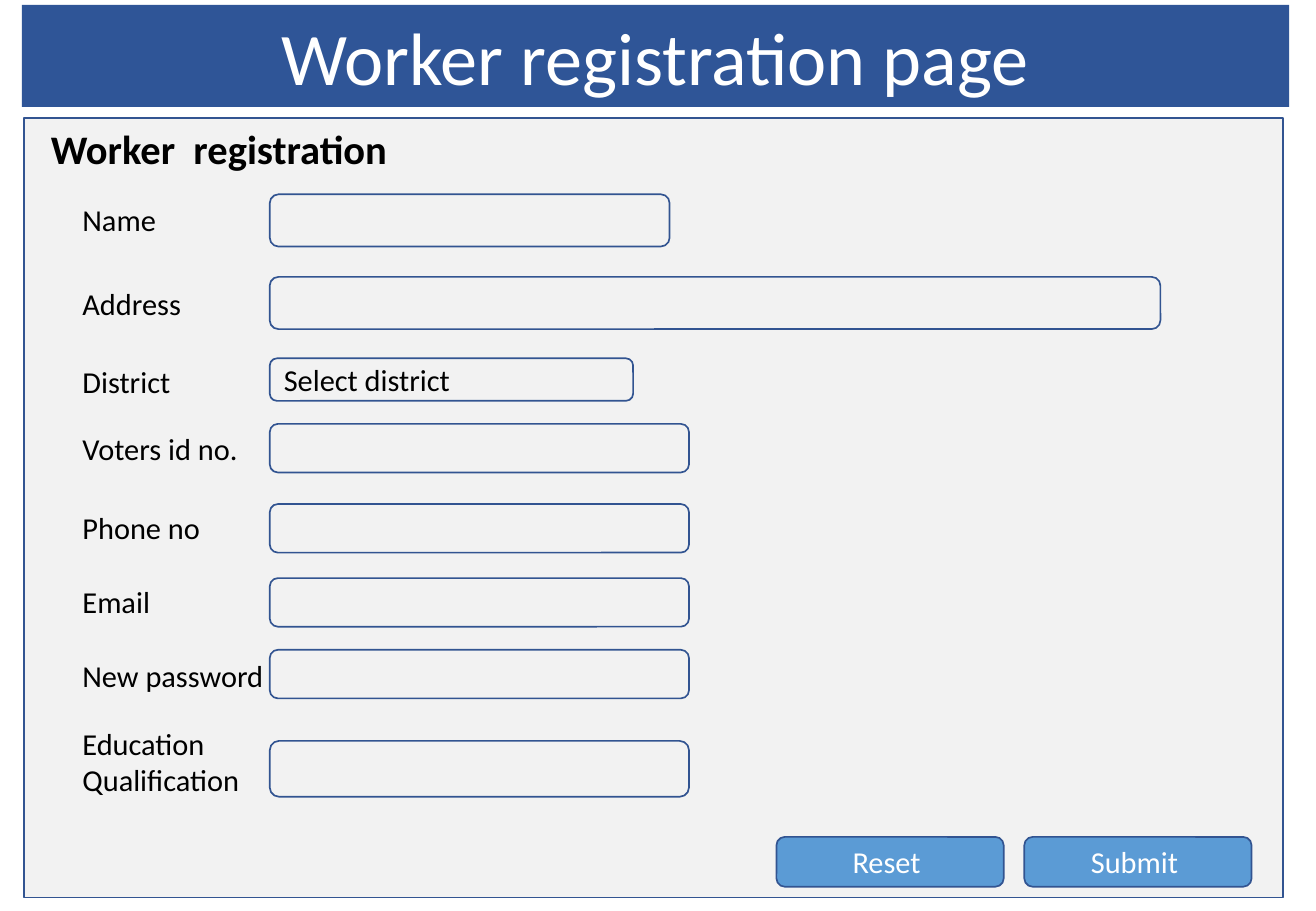
from pptx import Presentation
from pptx.dml.color import RGBColor
from pptx.enum.shapes import MSO_SHAPE as Shape
from pptx.enum.text import MSO_ANCHOR as Anchor, MSO_AUTO_SIZE as Fit, PP_ALIGN as Align
from pptx.util import Inches, Pt

NAVY, EDGE, BLUE = "2F5597", "325491", "5B9BD5"
GREY, WHITE, BLACK = "F2F2F2", "FFFFFF", "000000"

HEAD = {"size": Pt(44), "name": "Calibri", "bold": False}
SUB = {"size": Pt(24), "name": "Calibri", "bold": True}
BODY = {"size": Pt(18), "name": "Calibri", "bold": False}

# label, label top, label height, field top, field width, field height, field text
ROWS = [
    ("Name", 1.61, 0.4, 1.6, 3.29, 0.43, ""),
    ("Address", 2.3, 0.4, 2.28, 7.33, 0.43, ""),
    ("District", 2.94, 0.4, 2.95, 2.99, 0.35, "Select district"),
    ("Voters id no.", 3.49, 0.42, 3.49, 3.45, 0.4, ""),
    ("Phone no", 4.14, 0.4, 4.15, 3.45, 0.4, ""),
    ("Email", 4.75, 0.4, 4.76, 3.45, 0.4, ""),
    ("New password", 5.36, 0.4, 5.35, 3.45, 0.4, ""),
    ("Education Qualification", 5.92, 0.71, 6.1, 3.45, 0.46, ""),
]


def paint(color, code):
    color.rgb = RGBColor.from_string(code)


def fill(shape, code):
    shape.fill.solid()
    paint(shape.fill.fore_color, code)


def write(shape, text, style, code, align=Align.LEFT, anchor=Anchor.MIDDLE):
    frame = shape.text_frame
    frame.word_wrap = True
    frame.auto_size = Fit.NONE
    frame.vertical_anchor = anchor
    frame.text = text
    para = frame.paragraphs[0]
    para.alignment = align
    font = para.runs[0].font
    for key, value in style.items():
        setattr(font, key, value)
    paint(font.color, code)


def panel(slide, kind, box, code):
    """Add a filled shape with the thin form outline."""
    shape = slide.shapes.add_shape(kind, *map(Inches, box))
    shape.shadow.inherit = False
    fill(shape, code)
    paint(shape.line.color, EDGE)
    shape.line.width = Pt(1)
    return shape


def label(slide, text, box, style):
    shape = slide.shapes.add_textbox(*map(Inches, box))
    write(shape, text, style, BLACK, anchor=Anchor.TOP)


def banner(slide, box):
    title = slide.shapes.title
    title.left, title.top, title.width, title.height = map(Inches, box)
    fill(title, NAVY)
    write(title, "Worker registration page", HEAD, WHITE, Align.CENTER)


def form(slide, box):
    left, top, width, height = box
    panel(slide, Shape.RECTANGLE, box, GREY)
    label(slide, "Worker  registration", (left + 0.12, top, 6.07, 0.5), SUB)
    for name, y, tall, field_y, wide, high, text in ROWS:
        area = (left + 2.02, field_y, wide, high)
        field = panel(slide, Shape.ROUNDED_RECTANGLE, area, GREY)
        if text:
            write(field, text, BODY, BLACK)
        label(slide, name, (left + 0.38, y, 1.91, tall), BODY)
    buttons(slide, (left + 6.19, top + 5.92, 3.91, 0.41))


def buttons(slide, box):
    left, top, width, height = box
    gap = 0.17
    wide = (width - gap) / 2
    for i, text in enumerate(("Reset ", "Submit ")):
        area = (left + i * (wide + gap), top, wide, height)
        button = panel(slide, Shape.ROUNDED_RECTANGLE, area, BLUE)
        write(button, text, BODY, WHITE, Align.CENTER)


def main():
    deck = Presentation()
    deck.slide_width, deck.slide_height = Inches(10.83), Inches(7.5)
    slide = deck.slides.add_slide(deck.slide_layouts[5])
    banner(slide, (0.18, 0.04, 10.43, 0.84))
    form(slide, (0.2, 0.97, 10.36, 6.42))
    deck.save("out.pptx")


if __name__ == "__main__":
    main()
